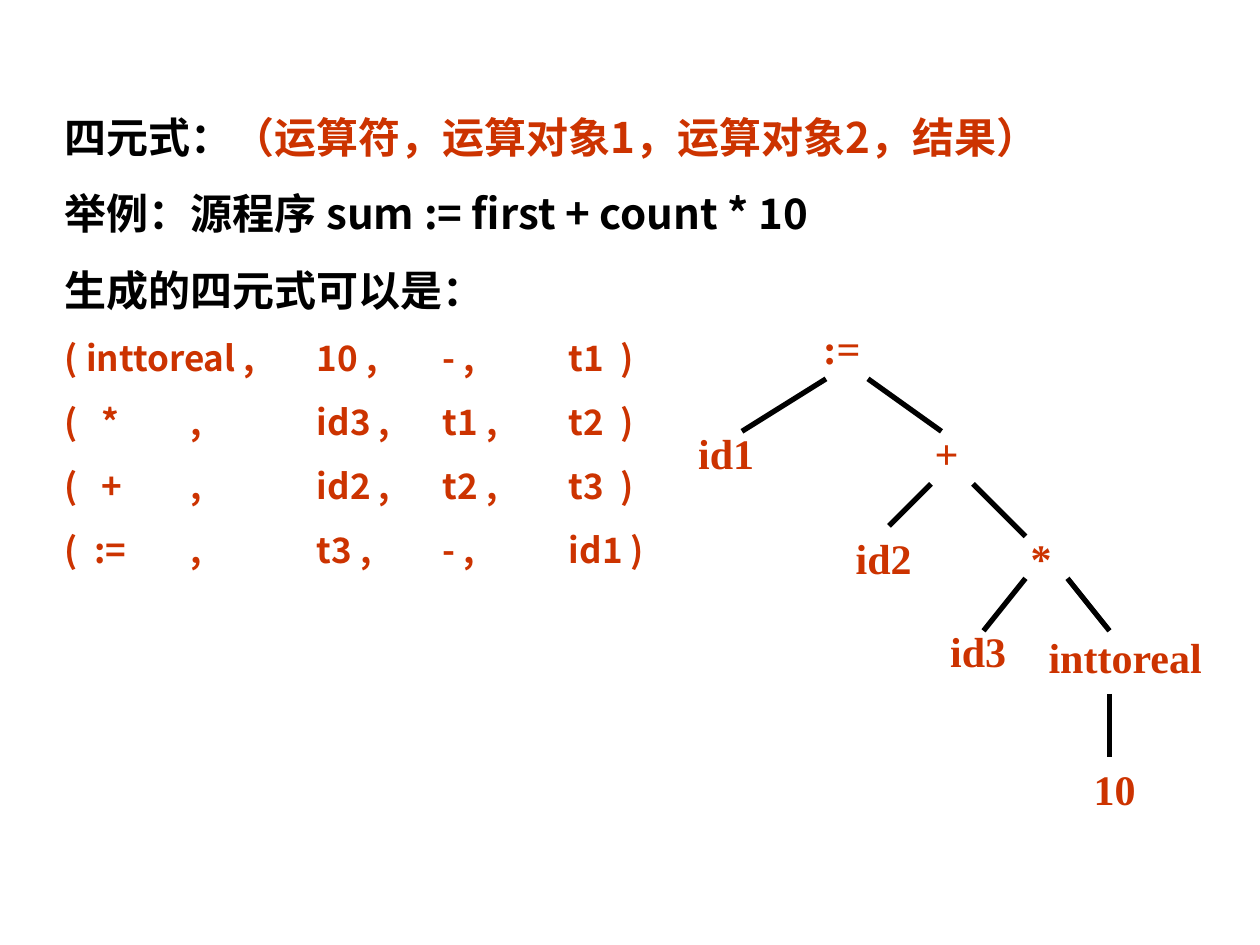
from lxml import etree
from pptx import Presentation
from pptx.dml.color import RGBColor
from pptx.enum.shapes import MSO_CONNECTOR
from pptx.enum.text import MSO_ANCHOR, PP_ALIGN
from pptx.oxml.ns import qn
from pptx.util import Pt

STRAIGHT = MSO_CONNECTOR.STRAIGHT
MIDDLE = MSO_ANCHOR.MIDDLE
CENTER = PP_ALIGN.CENTER
BLACK = "000000"
RED = "CC3300"
SANS = "Noto Sans CJK SC"
SERIF = "Times New Roman"
TAB_STEP = 72
LINE_RATIO = 1.2

STATEMENTS = [
    (24, 0, [("四元式：", BLACK),
             ("（运算符，运算对象1，运算对象2，结果）", RED)]),
    (24, 15, [("举例：源程序 sum := first + count * 10", BLACK)]),
    (24, 15, [("生成的四元式可以是：", BLACK)]),
]
QUADRUPLES = [
    "( inttoreal ,\t10 ,\t- ,\tt1  )",
    "(   *\t,\tid3 ,\tt1 ,\tt2  )",
    "(   +\t,\tid2 ,\tt2 ,\tt3  )",
    "(  :=\t,\tt3 ,\t- ,\tid1 )",
]
NODES = [
    (":=", 460, 180.5, 42, 36),
    ("id1", 394, 240.5, 42, 36),
    ("+", 520, 240.5, 42, 36),
    ("id2", 484, 300.5, 42, 36),
    ("*", 574, 300.5, 42, 36),
    ("id3", 538, 354, 42, 36),
    ("inttoreal", 592, 354, 102, 42),
    ("10", 616, 432.5, 42, 36),
]
BRANCHES = [
    (472, 216.5, 424, 246.5),
    (496, 216.5, 538, 246.5),
    (532, 276.5, 508, 300.5),
    (556, 276.5, 586, 306.5),
    (586, 330.5, 562, 360.5),
    (610, 330.5, 634, 360.5),
    (634, 396.5, 634, 432.5),
]


def color(value):
    return RGBColor.from_string(value)


def apply(target, settings):
    for name, value in settings.items():
        setattr(target, name, value)


def add_run(paragraph, text, size, font_name, tint):
    run = paragraph.add_run()
    run.text = text
    apply(run.font, {"size": Pt(size), "bold": True, "name": font_name})
    run.font.color.rgb = color(tint)
    east_asian = etree.SubElement(run.font._element, qn("a:ea"))
    east_asian.set("typeface", font_name)


def add_tab_stops(paragraph, count):
    stops = etree.SubElement(paragraph._p.get_or_add_pPr(), qn("a:tabLst"))
    for index in range(1, count + 1):
        stop = etree.SubElement(stops, qn("a:tab"))
        stop.set("pos", str(Pt(index * TAB_STEP)))
        stop.set("algn", "l")


def add_explanation(slide):
    frame = slide.shapes.add_textbox(Pt(30), Pt(60), Pt(597), Pt(270)).text_frame
    frame.word_wrap = True
    lines = STATEMENTS + [(20, 12.5, [(row, RED)]) for row in QUADRUPLES]
    for index, (size, gap, parts) in enumerate(lines):
        paragraph = frame.add_paragraph() if index else frame.paragraphs[0]
        apply(paragraph, {"space_before": Pt(gap),
                          "line_spacing": Pt(size * LINE_RATIO)})
        add_tab_stops(paragraph, 7)
        for text, tint in parts:
            add_run(paragraph, text, size, SANS, tint)


def add_node(slide, label, left, top, width, height):
    frame = slide.shapes.add_textbox(Pt(left), Pt(top), Pt(width), Pt(height)).text_frame
    apply(frame, {"word_wrap": False, "vertical_anchor": MIDDLE,
                  "margin_left": Pt(0), "margin_right": Pt(0)})
    paragraph = frame.paragraphs[0]
    paragraph.alignment = CENTER
    add_run(paragraph, label, 24, SERIF, RED)


def add_branch(slide, *ends):
    branch = slide.shapes.add_connector(STRAIGHT, *map(Pt, ends))
    branch.line.width = Pt(3)
    branch.line.color.rgb = color(BLACK)
    etree.SubElement(branch._element.spPr, qn("a:effectLst"))


def main():
    deck = Presentation()
    apply(deck, {"slide_width": Pt(720), "slide_height": Pt(540)})
    slide = deck.slides.add_slide(deck.slide_layouts[6])
    add_explanation(slide)
    for node in NODES:
        add_node(slide, *node)
    for branch in BRANCHES:
        add_branch(slide, *branch)
    deck.save("out.pptx")


main()
